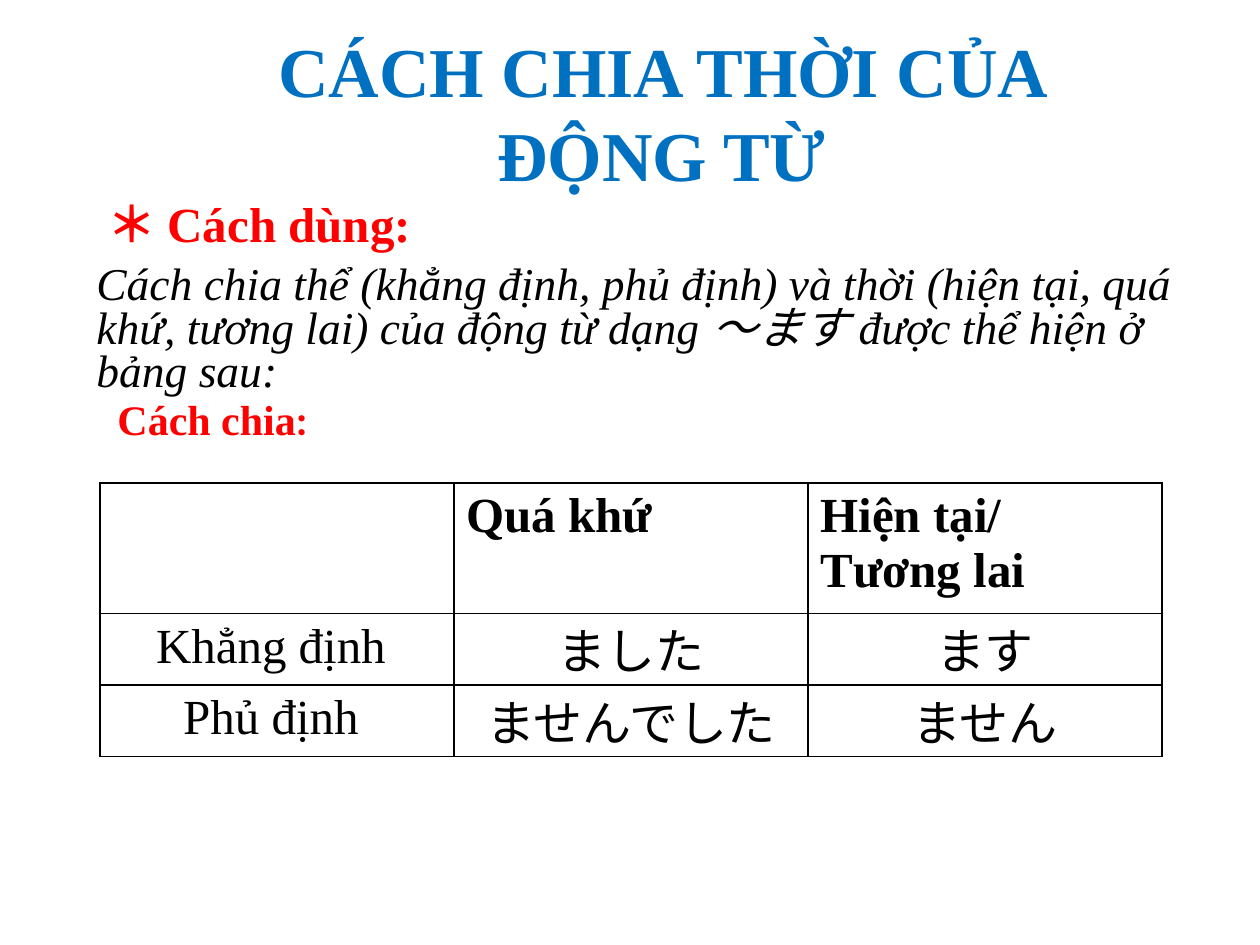
from dataclasses import dataclass
from typing import Optional

from lxml.etree import SubElement
from pptx import Presentation
from pptx.dml.color import RGBColor
from pptx.enum.text import PP_ALIGN
from pptx.oxml.ns import qn
from pptx.util import Emu, Pt

PX = 914400 // 126
COLORS = {"title": "0070C0", "heading": "FF0000", "text": "000000", "paper": "FFFFFF"}
SERIF, SANS, JAPANESE = "Times New Roman", "Calibri", "Noto Sans CJK JP"


@dataclass(frozen=True)
class Style:
    size: int
    color: str = "text"
    face: str = SERIF
    bold: bool = False
    italic: bool = False


@dataclass(frozen=True)
class Span:
    text: str
    face: Optional[str] = None


@dataclass(frozen=True)
class Line:
    spans: tuple[Span, ...]
    style: Style
    align: PP_ALIGN = PP_ALIGN.LEFT
    spacing: Optional[float] = None
    before: float = 0


@dataclass(frozen=True)
class Block:
    left: int
    top: int
    width: int
    height: int
    lines: tuple[Line, ...]


def px(length: int) -> Emu:
    return Emu(length * PX)


def rgb(name: str) -> RGBColor:
    return RGBColor.from_string(COLORS[name])


def write_line(paragraph, line: Line) -> None:
    paragraph.alignment = line.align
    if line.spacing:
        paragraph.line_spacing = line.spacing
    if line.before:
        paragraph.space_before = Pt(line.before)
    style, font = line.style, paragraph.font
    font.size, font.name = Pt(style.size), style.face
    font.bold, font.italic = style.bold, style.italic
    font.color.rgb = rgb(style.color)
    for span in line.spans:
        run = paragraph.add_run()
        run.text = span.text
        if span.face:
            run.font.name = span.face


def draw_block(slide, block: Block) -> None:
    box = slide.shapes.add_textbox(px(block.left), px(block.top), px(block.width), px(block.height))
    frame = box.text_frame
    frame.word_wrap = True
    for index, line in enumerate(block.lines):
        write_line(frame.add_paragraph() if index else frame.paragraphs[0], line)


def outline_cell(cell) -> None:
    """Border on all four sides, placed ahead of the cell fill."""
    properties = cell._tc.get_or_add_tcPr()
    for side in ("a:lnL", "a:lnR", "a:lnT", "a:lnB"):
        border = SubElement(properties, qn(side), w=str(Pt(1)))
        fill = SubElement(border, qn("a:solidFill"))
        SubElement(fill, qn("a:srgbClr"), val=COLORS["text"])


def draw_table(slide, left: int, top: int, column: int, heights: list[int],
               rows: list[list[Optional[Line]]]) -> None:
    columns = len(rows[0])
    frame = slide.shapes.add_table(len(rows), columns, px(left), px(top),
                                   px(column * columns), px(sum(heights)))
    table = frame.table
    for table_column in table.columns:
        table_column.width = px(column)
    for r, (height, row) in enumerate(zip(heights, rows)):
        table.rows[r].height = px(height)
        for c, line in enumerate(row):
            cell = table.cell(r, c)
            outline_cell(cell)
            cell.fill.solid()
            cell.fill.fore_color.rgb = rgb("paper")
            if line:
                write_line(cell.text_frame.paragraphs[0], line)
                if line.style.face == JAPANESE:
                    cell.margin_top = cell.margin_bottom = 0


def header(text: str) -> Line:
    return Line((Span(text),), Style(28, bold=True))


def entry(text: str, face: str = SERIF) -> Line:
    return Line((Span(text),), Style(28, face=face), PP_ALIGN.CENTER)


USAGE = Block(84, 199, 1144, 210, (
    Line((Span(" ", SANS), Span("＊ Cách dùng:")), Style(28, "heading", bold=True), spacing=0.8),
    Line((Span("Cách chia thể (khẳng định, phủ định) và thời (hiện tại, quá khứ, tương lai) "
               "của động từ dạng ～ます được thể hiện ở bảng sau:"),),
         Style(26, italic=True), spacing=0.8, before=7.5),
))
CONJUGATION = Block(105, 387, 879, 255, (
    Line((Span("Cách chia"), Span(":", SANS)), Style(24, "heading", bold=True)),
))
TITLE = Block(168, 21, 987, 183, (
    Line((Span("CÁCH CHIA THỜI CỦA ĐỘNG TỪ"),), Style(40, "title", bold=True), PP_ALIGN.CENTER),
))
TENSES = [
    [None, header("Quá khứ"), header("Hiện tại/ Tương lai")],
    [entry("Khẳng định "), entry("ました", JAPANESE), entry("ます", JAPANESE)],
    [entry("Phủ định "), entry("ませんでした", JAPANESE), entry("ません", JAPANESE)],
]


def main() -> None:
    presentation = Presentation()
    presentation.slide_width, presentation.slide_height = px(1260), px(945)
    slide = presentation.slides.add_slide(presentation.slide_layouts[6])

    # Usage and conjugation headings
    draw_block(slide, USAGE)
    draw_block(slide, CONJUGATION)

    # Tense table
    draw_table(slide, 100, 483, 354, [130, 71, 71], TENSES)

    # Title
    draw_block(slide, TITLE)

    presentation.save("out.pptx")


if __name__ == "__main__":
    main()
